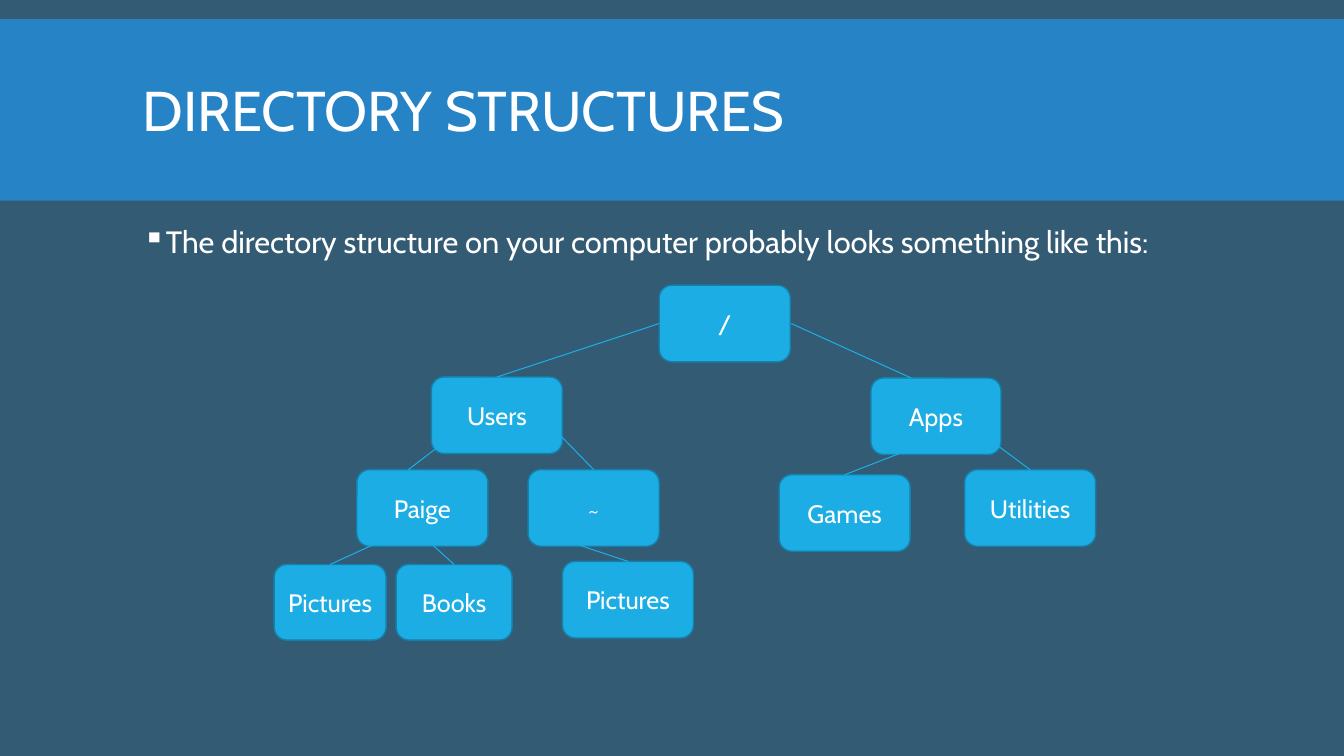
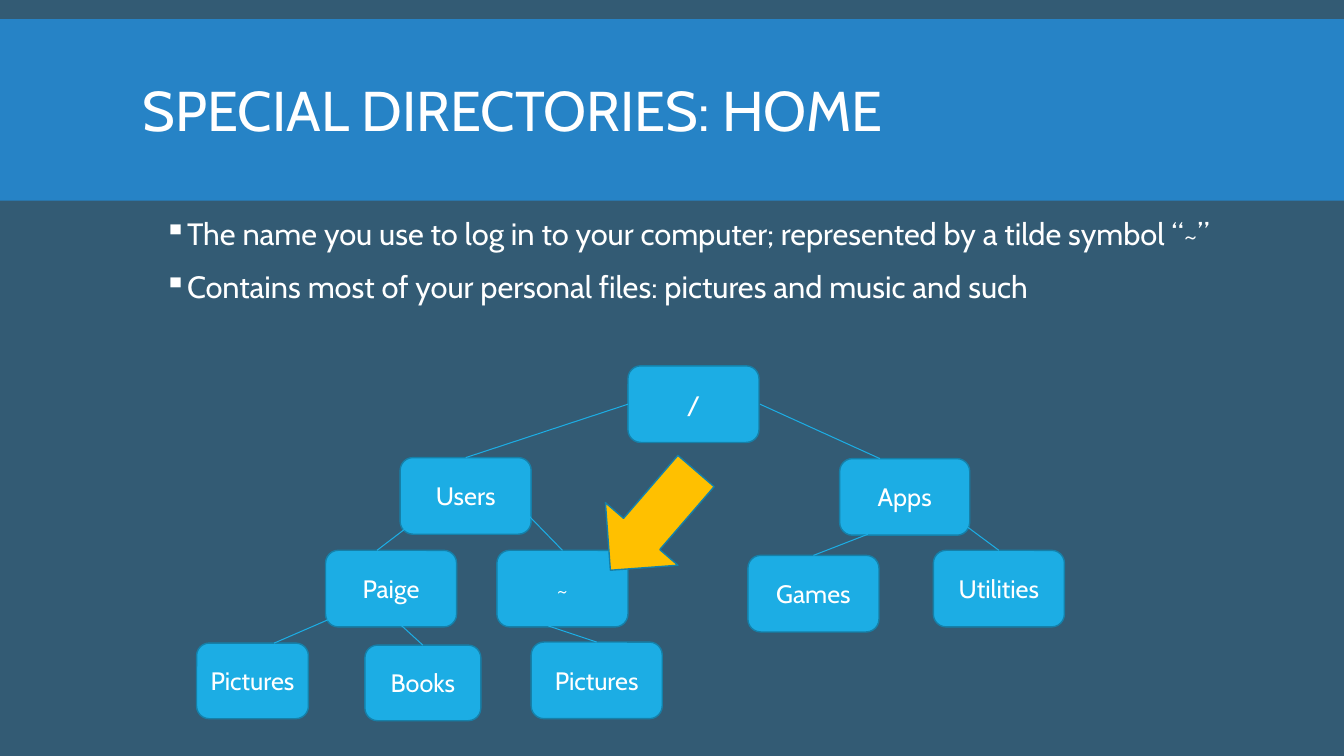
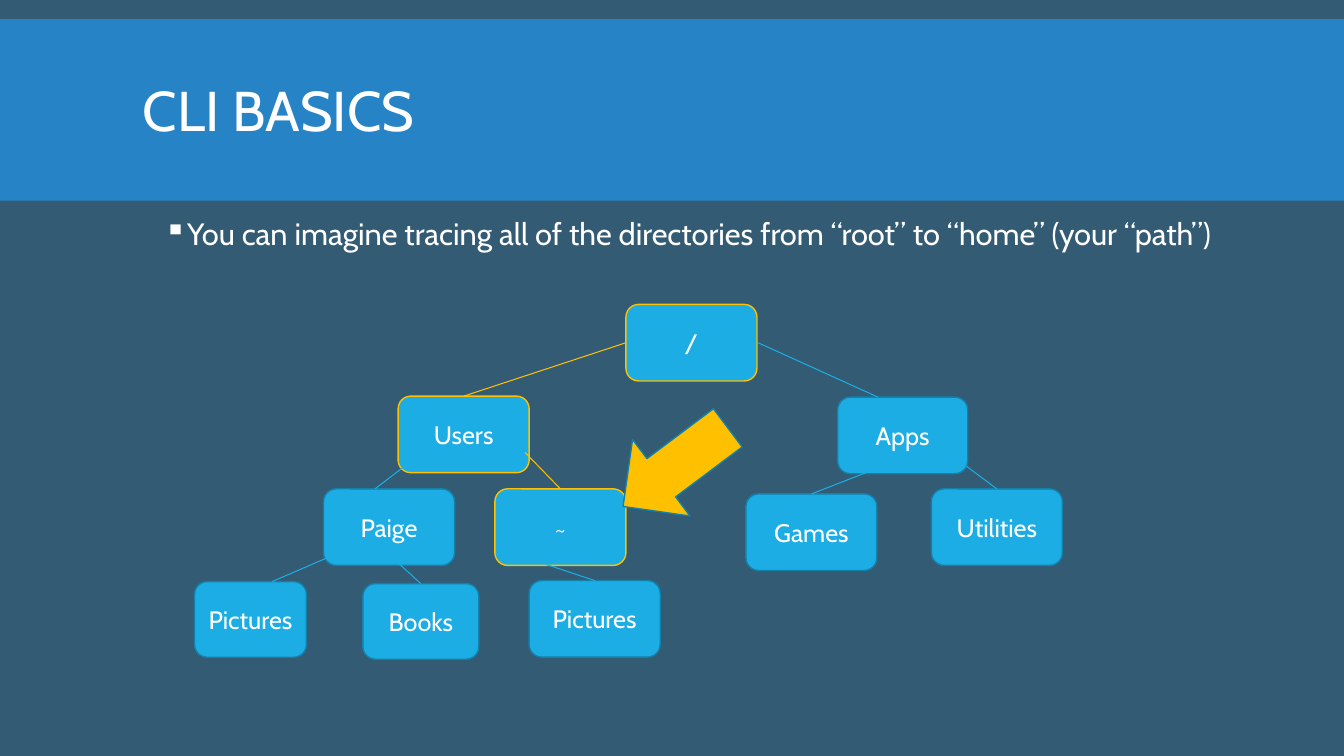
from dataclasses import dataclass, replace

from lxml.etree import SubElement
from pptx import Presentation
from pptx.dml.color import RGBColor
from pptx.enum.shapes import MSO_CONNECTOR, MSO_SHAPE
from pptx.enum.text import MSO_ANCHOR, PP_ALIGN
from pptx.oxml.ns import qn
from pptx.util import Inches, Pt

# The grid has square cells of a tenth of an inch.
CELL = Inches(0.1)
COLUMNS, ROWS = 133.33, 75

SLATE = RGBColor(0x33, 0x5B, 0x74)
BAND_BLUE = RGBColor(0x26, 0x83, 0xC6)
SKY = RGBColor(0x1C, 0xAD, 0xE4)
EDGE = RGBColor(0x15, 0x80, 0xA9)
GOLD = RGBColor(0xFF, 0xC0, 0x00)
WHITE = RGBColor(0xFF, 0xFF, 0xFF)
FONT = "Cabin"


def cells(*counts):
    return [round(count * CELL) for count in counts]


@dataclass(frozen=True)
class Directory:
    """A box placed from the root's corner, and the link from its parent.

    leave is measured from the parent's corner, arrive from the box's own left;
    without arrive the link ends at the middle of the box's top.
    """
    label: str
    left: float
    top: float
    parent: str = ""
    leave: tuple = (0, 0)
    arrive: float | None = None
    width: float = 13
    height: float = 7.6


WIDE_TREE = {
    "root": Directory("/", 0, 0),
    "users": Directory("Users", -22.6, 9.1, "root", (0, 3.8)),
    "apps": Directory("Apps", 21, 9.2, "root", (13.1, 3.8), 4, width=12.9),
    "paige": Directory("Paige", -30, 18.3, "users", (1.5, 6.3), 5.1),
    "home": Directory("~", -13, 18.3, "users", (12.6, 5.6)),
    "games": Directory("Games", 11.9, 18.8, "apps", (2.8, 7.5)),
    "utilities": Directory("Utilities", 30.3, 18.3, "apps", (12.7, 6.8)),
    "pictures": Directory("Pictures", -42.8, 27.5, "paige", (1.6, 6.3), 7.7, 11.1, 7.5),
    "books": Directory("Books", -26.1, 27.7, "paige", (6.8, 6.8), width=11.5, height=7.5),
    "home pictures": Directory("Pictures", -9.6, 27.4, "home", (5.1, 7.5)),
}
NARROW_TREE = WIDE_TREE | {
    "pictures": replace(WIDE_TREE["pictures"], left=-38.2, top=27.7,
                        leave=(3.9, 6.4), arrive=None),
}


class Slides:
    def __init__(self):
        self.deck = Presentation()
        self.deck.slide_width, self.deck.slide_height = cells(COLUMNS, ROWS)
        self.page = None

    def start(self, title):
        """Add a page with its background, band and title."""
        self.page = self.deck.slides.add_slide(self.deck.slide_layouts[6])
        fill = self.page.background.fill
        fill.solid()
        fill.fore_color.rgb = SLATE
        self.shape(MSO_SHAPE.RECTANGLE, 0, 1.9, COLUMNS, 18, BAND_BLUE)
        frame = self.text_frame(13.2, 3.1, 107, 16.5)
        frame.vertical_anchor = MSO_ANCHOR.MIDDLE
        para = self.set_text(frame.paragraphs[0], title, 40)
        para.line_spacing = 0.85

    def text_frame(self, left, top, width, height):
        frame = self.page.shapes.add_textbox(*cells(left, top, width, height)).text_frame
        frame.word_wrap = True
        return frame

    def set_text(self, para, text, size):
        para.text = text
        para.font.name = FONT
        para.font.size = Pt(size)
        para.font.color.rgb = WHITE
        return para

    def bullets(self, left, top, height, lines):
        frame = self.text_frame(left, top, 107, height)
        for index, line in enumerate(lines):
            para = frame.add_paragraph() if index else frame.paragraphs[0]
            para.line_spacing = 0.9
            para.space_before, para.space_after = Pt(12), Pt(2)
            self.mark(para)
            self.set_text(para, line, 22)

    def mark(self, para):
        """Give the paragraph a hanging square bullet."""
        properties = para._p.get_or_add_pPr()
        properties.set("marL", str(Inches(0.2)))
        properties.set("indent", str(-Inches(0.2)))
        color = SubElement(properties, qn("a:buClr"))
        SubElement(color, qn("a:srgbClr"), val=str(WHITE))
        SubElement(properties, qn("a:buChar"), char="▪")

    def shape(self, kind, left, top, width, height, color, edge=None):
        shape = self.page.shapes.add_shape(kind, *cells(left, top, width, height))
        shape.shadow.inherit = False
        shape.fill.solid()
        shape.fill.fore_color.rgb = color
        if edge is None:
            shape.line.fill.background()
        else:
            shape.line.color.rgb = edge
            shape.line.width = Pt(1)
        return shape

    def link(self, start, end, color):
        line = self.page.shapes.add_connector(MSO_CONNECTOR.STRAIGHT, *cells(*start, *end))
        line.line.color.rgb = color
        line.line.width = Pt(0.75)
        SubElement(line._element.spPr, qn("a:effectLst"))

    def tree(self, left, top, directories, traced=()):
        """Draw the directories, with the traced ones and their links in gold."""
        for name, directory in directories.items():
            box = self.shape(MSO_SHAPE.ROUNDED_RECTANGLE,
                             left + directory.left, top + directory.top,
                             directory.width, directory.height,
                             SKY, GOLD if name in traced else EDGE)
            frame = box.text_frame
            frame.vertical_anchor = MSO_ANCHOR.MIDDLE
            para = self.set_text(frame.paragraphs[0], directory.label, 18)
            para.alignment = PP_ALIGN.CENTER
        for name, child in directories.items():
            if not child.parent:
                continue
            parent = directories[child.parent]
            across, down = child.leave
            arrive = child.width / 2 if child.arrive is None else child.arrive
            self.link((left + parent.left + across, top + parent.top + down),
                      (left + child.left + arrive, top + child.top),
                      GOLD if name in traced else SKY)

    def pointer(self, left, top, angle):
        arrow = self.shape(MSO_SHAPE.RIGHT_ARROW, left, top, 13, 9.5, GOLD, EDGE)
        arrow.rotation = angle


def main():
    slides = Slides()

    slides.start("DIRECTORY STRUCTURES")
    slides.bullets(13.2, 22, 4.7, [
        "The directory structure on your computer probably looks something like this:",
    ])
    slides.tree(65.4, 28.3, NARROW_TREE)

    slides.start("SPECIAL DIRECTORIES: HOME")
    slides.bullets(15.3, 21.2, 13.3, [
        "The name you use to log in to your computer; represented by a tilde symbol “~”",
        "Contains most of your personal files: pictures and music and such",
    ])
    slides.tree(62.3, 36.3, WIDE_TREE)
    slides.pointer(58.3, 46.9, 130.8)

    slides.start("CLI BASICS")
    slides.bullets(15.3, 21.2, 7.5, [
        "You can imagine tracing all of the directories from “root” to “home” (your “path”)",
    ])
    slides.tree(62.1, 30.2, WIDE_TREE, traced=("root", "users", "home"))
    slides.pointer(60.5, 41.6, 143.1)

    slides.deck.save("out.pptx")


if __name__ == "__main__":
    main()
